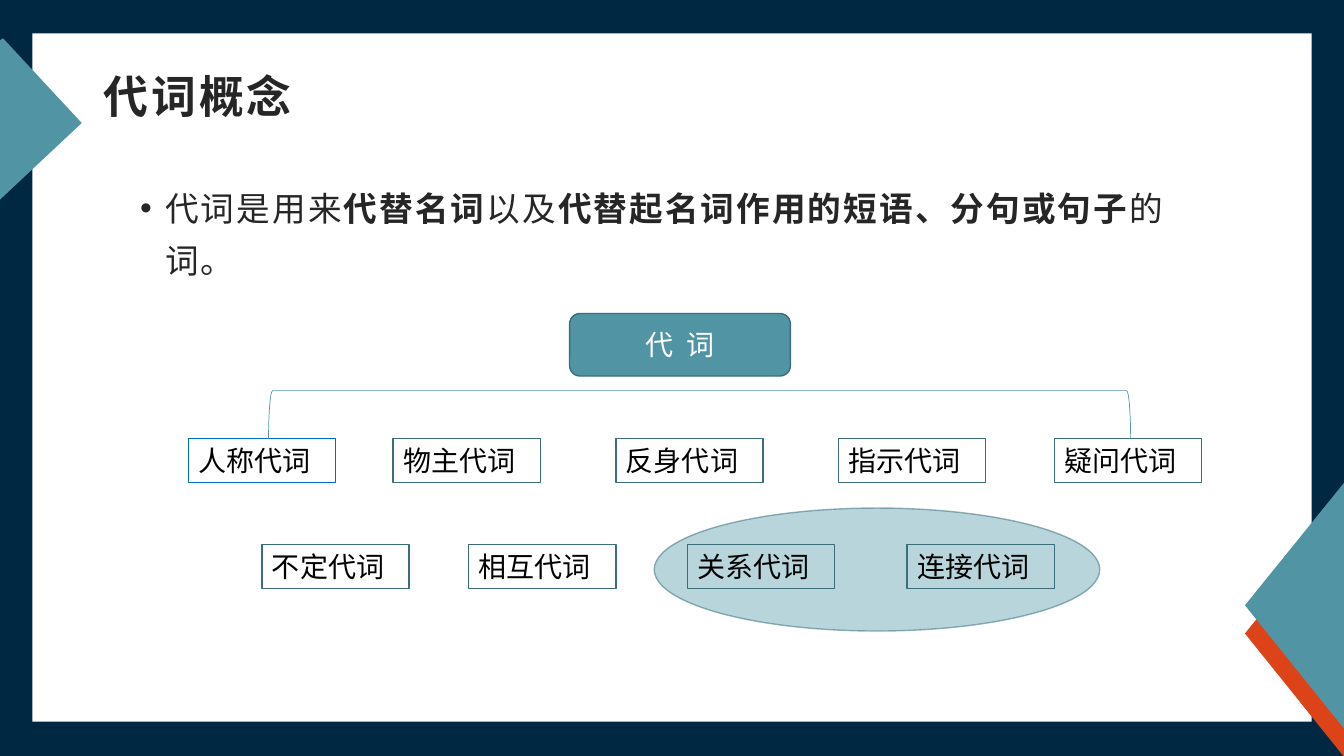
from dataclasses import dataclass
from lxml.etree import SubElement as Sub
from pptx import Presentation
from pptx.dml.color import RGBColor as Rgb
from pptx.enum.shapes import MSO_SHAPE as Kind
from pptx.enum.text import MSO_ANCHOR as Anchor, MSO_AUTO_SIZE as Fit, PP_ALIGN as Align
from pptx.oxml.ns import qn
from pptx.util import Inches, Pt

HUES = {"navy": "002842", "white": "FFFFFF", "teal": "5195A5", "red": "DD4319",
        "pale": "B8D5DC", "edge": "3C6E7A", "blue": "0070C0",
        "ink": "262626", "black": "000000"}

deck = Presentation()
deck.slide_width, deck.slide_height = Inches(13.33), Inches(7.5)
slide = deck.slides.add_slide(deck.slide_layouts[1])
shapes = slide.shapes


@dataclass
class Area:
    """A frame in percent of the slide's width and height."""
    x: float
    y: float
    w: float
    h: float

    def place(self) -> tuple:
        """Return left, top, width and height as lengths."""
        return across(self.x), down(self.y), across(self.w), down(self.h)


@dataclass
class Row:
    """One row of terms: its top and each term's left edge, in percent."""
    top: float
    terms: dict


ROWS = [
    Row(58, {"人称代词": 14.03, "物主代词": 29.25, "反身代词": 45.83,
             "指示代词": 62.4, "疑问代词": 78.45}),
    Row(72, {"不定代词": 19.5, "相互代词": 34.88, "关系代词": 51.15, "连接代词": 67.5}),
]
FIRST = "人称代词"
LEAD = [("代词是用来", False), ("代替名词", True), ("以及", False),
        ("代替起名词作用的短语、分句或句子", True), ("的词。", False)]


def across(part: float) -> int:
    """Turn a percent of the width into a length."""
    return round(deck.slide_width * part / 100)


def down(part: float) -> int:
    """Turn a percent of the height into a length."""
    return round(deck.slide_height * part / 100)


def hue(name: str) -> Rgb:
    """Look up a colour."""
    return Rgb.from_string(HUES[name])


def paint(shape, fill: str = "", line: str = "", width: float = 1):
    """Set fill and line; an empty name means none."""
    shape.shadow.inherit = False
    if fill:
        shape.fill.solid()
        shape.fill.fore_color.rgb = hue(fill)
    else:
        shape.fill.background()
    if line:
        shape.line.color.rgb = hue(line)
        shape.line.width = Pt(width)
    else:
        shape.line.fill.background()
    return shape


def draw(kind: Kind, area: Area, fill: str = "", line: str = "", width: float = 1):
    """Add a preset shape."""
    return paint(shapes.add_shape(kind, *area.place()), fill, line, width)


def wedge(spots: list, fill: str) -> None:
    """Add a closed outline through the given percent points."""
    dots = [(across(x), down(y)) for x, y in spots]
    pen = shapes.build_freeform(*dots[0], scale=1.0)
    pen.add_line_segments(dots[1:], close=True)
    paint(pen.convert_to_shape(), fill)


def style(run, size: float, tone: str, bold: bool = False, gap: float = 0) -> None:
    """Format a run; gap is the letter spacing in points."""
    font = run.font
    font.name, font.size, font.bold = "Arial", Pt(size), bold
    font.color.rgb = hue(tone)
    if gap:
        run._r.get_or_add_rPr().set("spc", str(round(gap * 100)))


def label(shape, text: str, tone: str, align: Align, anchor: Anchor, gap: float = 0) -> None:
    """Write one line into a shape."""
    frame = shape.text_frame
    frame.text, frame.word_wrap, frame.vertical_anchor = text, True, anchor
    para = frame.paragraphs[0]
    para.alignment = align
    style(para.runs[0], 20, tone, gap=gap)


def settle(holder, area: Area, pads: tuple, anchor: Anchor):
    """Move a placeholder to the front and return its text frame."""
    holder.left, holder.top, holder.width, holder.height = area.place()
    holder.element.getparent().append(holder.element)
    frame = holder.text_frame
    frame.auto_size, frame.word_wrap, frame.vertical_anchor = Fit.NONE, True, anchor
    (frame.margin_left, frame.margin_top,
     frame.margin_right, frame.margin_bottom) = map(Inches, pads)
    return frame


def scene() -> None:
    """Draw the background, the panel, the corner wedges and the ellipse."""
    slide.background.fill.solid()
    slide.background.fill.fore_color.rgb = hue("navy")
    draw(Kind.RECTANGLE, Area(2.4, 4.4, 95.2, 91.07), "white")
    wedge([(6.08, 16.27), (0, 26.4), (0, 5.33), (0.23, 5.07)], "teal")
    for top, fill in ((67.6, "red"), (63.87, "teal")):
        wedge([(100, top), (100, top + 32.5), (92.63, top + 16.2)], fill)
    oval = draw(Kind.OVAL, Area(48.68, 67.2, 33.15, 16.27), "pale", "edge")
    tint = oval.line.fill._xPr.find(".//" + qn("a:srgbClr"))
    Sub(tint, qn("a:alpha"), val="52000")


def words() -> None:
    """Fill the title and the definition."""
    frame = settle(shapes.title, Area(6.9, 7.33, 79, 10.53),
                   (0.11, 0.04, 0.08, 0.04), Anchor.MIDDLE)
    frame.text = "代词概念"
    frame.paragraphs[0].alignment = Align.LEFT
    style(frame.paragraphs[0].runs[0], 32, "ink", True, 2)

    frame = settle(slide.placeholders[1], Area(9.6, 23.2, 79, 50.27),
                   (0.11, 0, 0.09, 0), Anchor.TOP)
    para = frame.paragraphs[0]
    para.alignment, para.line_spacing = Align.LEFT, 1.3
    para.space_before, para.space_after = Pt(0), Pt(10)
    for text, bold in LEAD:
        run = para.add_run()
        run.text = text
        style(run, 24, "ink", bold, 1.5)
    prop = para._p.get_or_add_pPr()
    prop.set("marL", str(Inches(0.25)))
    prop.set("indent", str(-Inches(0.25)))
    Sub(prop, qn("a:buFont"), typeface="Arial")
    Sub(prop, qn("a:buChar"), char="•")


def tree() -> None:
    """Draw the root, the terms and the bracket that joins them."""
    root = draw(Kind.ROUNDED_RECTANGLE, Area(42.38, 41.47, 16.43, 8.27), "teal", "edge")
    label(root, "代 词", "white", Align.CENTER, Anchor.MIDDLE, 2.5)
    for row in ROWS:
        for term, left in row.terms.items():
            line, width = ("blue", 0.75) if term == FIRST else ("edge", 1)
            box = draw(Kind.RECTANGLE, Area(left, row.top, 10.95, 5.87), "", line, width)
            label(box, term, "black", Align.LEFT, Anchor.TOP)
            box.text_frame.auto_size = Fit.SHAPE_TO_FIT_TEXT
    brace = draw(Kind.LEFT_BRACKET, Area(50.25, -2.13, 3.6, 114), "", "teal", 0.5)
    brace.rotation = 90


scene()
words()
tree()
deck.save("out.pptx")
